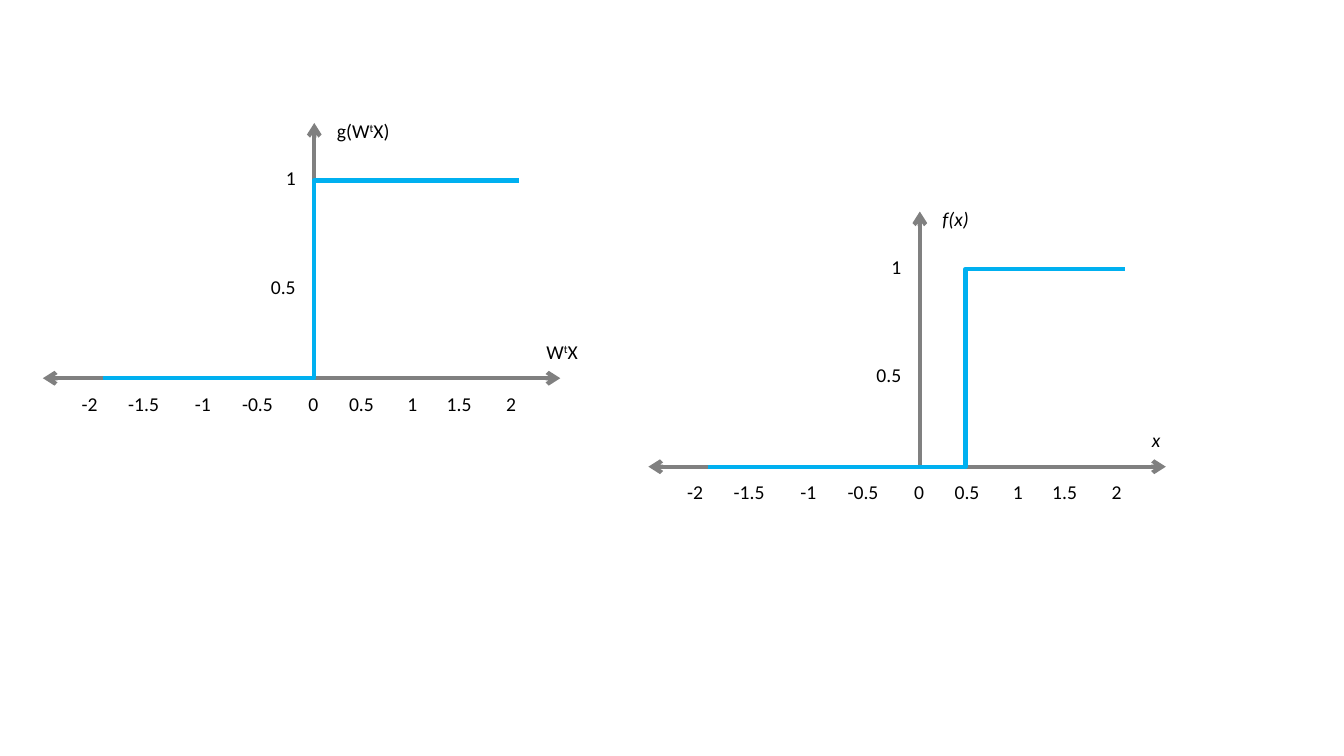
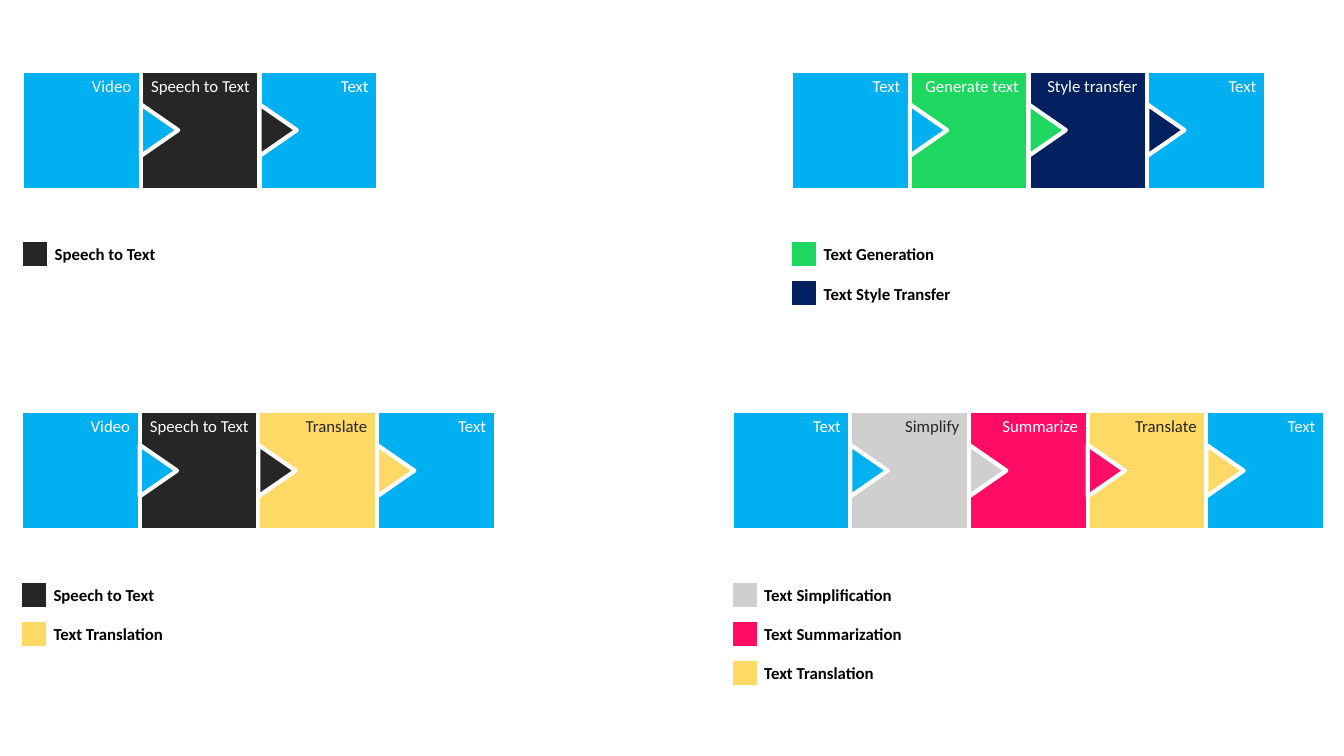
from itertools import pairwise

from lxml import etree
from pptx import Presentation
from pptx.dml.color import RGBColor
from pptx.enum.shapes import MSO_CONNECTOR, MSO_SHAPE
from pptx.enum.text import MSO_ANCHOR, MSO_AUTO_SIZE, PP_ALIGN
from pptx.oxml.ns import qn
from pptx.util import Cm, Pt

STRAIGHT, ELBOW = MSO_CONNECTOR.STRAIGHT, MSO_CONNECTOR.ELBOW
RECTANGLE, TRIANGLE = MSO_SHAPE.RECTANGLE, MSO_SHAPE.ISOSCELES_TRIANGLE
TOP, MIDDLE = MSO_ANCHOR.TOP, MSO_ANCHOR.MIDDLE
LEFT, CENTER, RIGHT = PP_ALIGN.LEFT, PP_ALIGN.CENTER, PP_ALIGN.RIGHT
FIT_SHAPE = MSO_AUTO_SIZE.SHAPE_TO_FIT_TEXT

COLORS = {
    "black": "000000", "white": "FFFFFF", "axis": "808080",
    "blue": "00B0F0", "charcoal": "262626", "yellow": "FFD966",
    "green": "1ED760", "navy": "002060", "grey": "D0CECE", "pink": "FF0C64",
}
FONT = "Calibri"
LINE_WIDTH = Pt(3)

# Tick labels with the distance of their centres from the vertical axis, in cm
TICKS = (
    ("-2", -5.66), ("-1.5", -4.3), ("-1", -2.81), ("-0.5", -1.43), ("0", -0.02),
    ("0.5", 1.19), ("1", 2.47), ("1.5", 3.65), ("2", 4.96),
)
LEVELS = (("0.5", -2.77), ("1", -5.51))
LABEL_HEIGHT = 0.86
STEP_START, STEP_END, STEP_RISE = -5.33, 5.16, 4.98

STAGE_SIZE, STAGE_PITCH = 3, 2.99
ARROW_BASE, ARROW_DEPTH = 1.3, 0.94
SWATCH_SIZE, LEGEND_OFFSET, LEGEND_PITCH = 0.71, 4.27, 0.99

# Stage name: fill, text colour, legend entry
STAGES = {
    "Video": ("blue", "white", None),
    "Text": ("blue", "white", None),
    "Speech to Text": ("charcoal", "white", "Speech to Text"),
    "Translate": ("yellow", "charcoal", "Text Translation"),
    "Generate text": ("green", "white", "Text Generation"),
    "Style transfer": ("navy", "white", "Text Style Transfer"),
    "Simplify": ("grey", "charcoal", "Text Simplification"),
    "Summarize": ("pink", "white", "Text Summarization"),
}
PIPELINES = (
    (0.56, 1.78, ("Video", "Speech to Text", "Text")),
    (19.94, 1.78, ("Text", "Generate text", "Style transfer", "Text")),
    (0.53, 10.36, ("Video", "Speech to Text", "Translate", "Text")),
    (18.44, 10.36, ("Text", "Simplify", "Summarize", "Translate", "Text")),
)


def color(name):
    return RGBColor.from_string(COLORS[name])


def apply(target, values):
    for name, value in values.items():
        setattr(target, name, value)


def tick_width(text):
    digits = sum(letter.isdigit() for letter in text)
    return 0.51 + 0.25 * digits + 0.13 * text.count(".") + 0.15 * text.count("-")


class Sketch:
    """Holds the deck, its style and the slide being drawn."""

    def __init__(self):
        self.deck = Presentation()
        apply(self.deck, {"slide_width": Cm(33.87), "slide_height": Cm(19.05)})
        self.page = None

    def new_page(self):
        self.page = self.deck.slides.add_slide(self.deck.slide_layouts[6])

    def add_span(self, para, text, size, ink, raised=False, **style):
        span = para.add_run()
        span.text = text
        apply(span.font, {"name": FONT, "size": Pt(size), **style})
        span.font.color.rgb = color(ink)
        if raised:
            span.font._element.set("baseline", "30000")

    def line(self, kind, start, end, ink, ends=(), bend=None):
        """Draw a connector; ends names its arrowheads, bend places the elbow."""
        connector = self.page.shapes.add_connector(kind, *map(Cm, start + end))
        connector.line.width = LINE_WIDTH
        connector.line.color.rgb = color(ink)
        properties = connector._element.spPr
        for name in ends:
            etree.SubElement(properties.find(qn("a:ln")), qn(f"a:{name}"), type="arrow")
        etree.SubElement(properties, qn("a:effectLst"))
        if bend is not None:
            geometry = properties.find(qn("a:prstGeom"))
            guides = geometry.find(qn("a:avLst"))
            if guides is None:
                guides = etree.SubElement(geometry, qn("a:avLst"))
            etree.SubElement(guides, qn("a:gd"), name="adj1",
                             fmla=f"val {round(bend * 100000)}")

    def label(self, left, top, width, pieces, align=CENTER, italic=False):
        """Set pieces on one line, every second one raised."""
        box = self.page.shapes.add_textbox(Cm(left), Cm(top), Cm(width), Cm(LABEL_HEIGHT))
        apply(box.text_frame, {"word_wrap": False, "auto_size": FIT_SHAPE})
        para = box.text_frame.paragraphs[0]
        apply(para, {"alignment": align, "line_spacing": 1.07, "space_after": Pt(8)})
        for index, piece in enumerate(pieces):
            self.add_span(para, piece, 14, "black", index % 2 == 1, italic=italic)

    def block(self, kind, left, top, width, height, fill):
        shape = self.page.shapes.add_shape(kind, Cm(left), Cm(top), Cm(width), Cm(height))
        shape.shadow.inherit = False
        shape.fill.solid()
        shape.fill.fore_color.rgb = color(fill)
        shape.line.color.rgb = color("white")
        shape.line.width = LINE_WIDTH
        return shape

    def caption(self, shape, text, ink, align, frame_format, **style):
        apply(shape.text_frame, {"word_wrap": True, **frame_format})
        para = shape.text_frame.paragraphs[0]
        para.alignment = align
        self.add_span(para, text, 12, ink, **style)

    def stage(self, left, top, name):
        fill, ink, _ = STAGES[name]
        shape = self.block(RECTANGLE, left, top, STAGE_SIZE, STAGE_SIZE, fill)
        self.caption(shape, name, ink, RIGHT, {"vertical_anchor": TOP})

    def stage_arrow(self, left, top, fill):
        """Point a triangle into the stage at left, top."""
        arrow = self.block(TRIANGLE, left + (ARROW_DEPTH - ARROW_BASE) / 2,
                           top + (STAGE_SIZE - ARROW_DEPTH) / 2,
                           ARROW_BASE, ARROW_DEPTH, fill)
        arrow.rotation = 90

    def legend_entry(self, left, top, text, fill):
        self.block(RECTANGLE, left, top, SWATCH_SIZE, SWATCH_SIZE, fill)
        entry = self.block(RECTANGLE, left + 0.85, top - 0.24, 4.65, 1.19, "white")
        self.caption(entry, text, "black", LEFT,
                     {"vertical_anchor": MIDDLE, "margin_left": 0, "margin_right": 0},
                     bold=True)

    def step_plot(self, origin, step, x_name, y_name, italic=False):
        """Plot a step function; each name is a pair of width and pieces."""
        x, y = origin
        self.line(STRAIGHT, (x, y), (x, y - 6.43), "axis", ("tailEnd",))
        self.line(STRAIGHT, (x + 6.2, y), (x - 6.84, y), "axis", ("headEnd", "tailEnd"))
        self.label(x + 5.6, y - 1.14, *x_name, LEFT, italic)
        self.label(x + 0.32, y - 6.71, *y_name, LEFT, italic)
        for text, offset in TICKS:
            width = tick_width(text)
            self.label(x + offset - width / 2, y + 0.18, width, (text,))
        for text, offset in LEVELS:
            width = tick_width(text)
            self.label(x - 0.21 - width, y + offset, width, (text,))
        self.line(ELBOW, (x + STEP_START, y), (x + STEP_END, y - STEP_RISE), "blue",
                  bend=(step - STEP_START) / (STEP_END - STEP_START))

    def pipeline(self, left, top, names):
        lefts = [left + index * STAGE_PITCH for index in range(len(names))]
        for stage_left, name in zip(lefts, names):
            self.stage(stage_left, top, name)
        for (source, _), (_, target_left) in pairwise(zip(names, lefts)):
            self.stage_arrow(target_left, top, STAGES[source][0])
        entries = [STAGES[name] for name in names if STAGES[name][2]]
        for index, (fill, _, text) in enumerate(entries):
            entry_top = top + LEGEND_OFFSET + index * LEGEND_PITCH
            self.legend_entry(left - 0.03, entry_top, text, fill)


def main():
    sketch = Sketch()
    sketch.new_page()
    sketch.step_plot((7.92, 9.53), 0, (1.37, ("W", "t", "X")), (1.9, ("g(W", "t", "X)")))
    sketch.step_plot((23.18, 11.76), 1.15, (0.74, ("x",)), (1.19, ("f(x)",)), italic=True)
    sketch.new_page()
    for left, top, names in PIPELINES:
        sketch.pipeline(left, top, names)
    sketch.deck.save("out.pptx")


if __name__ == "__main__":
    main()
